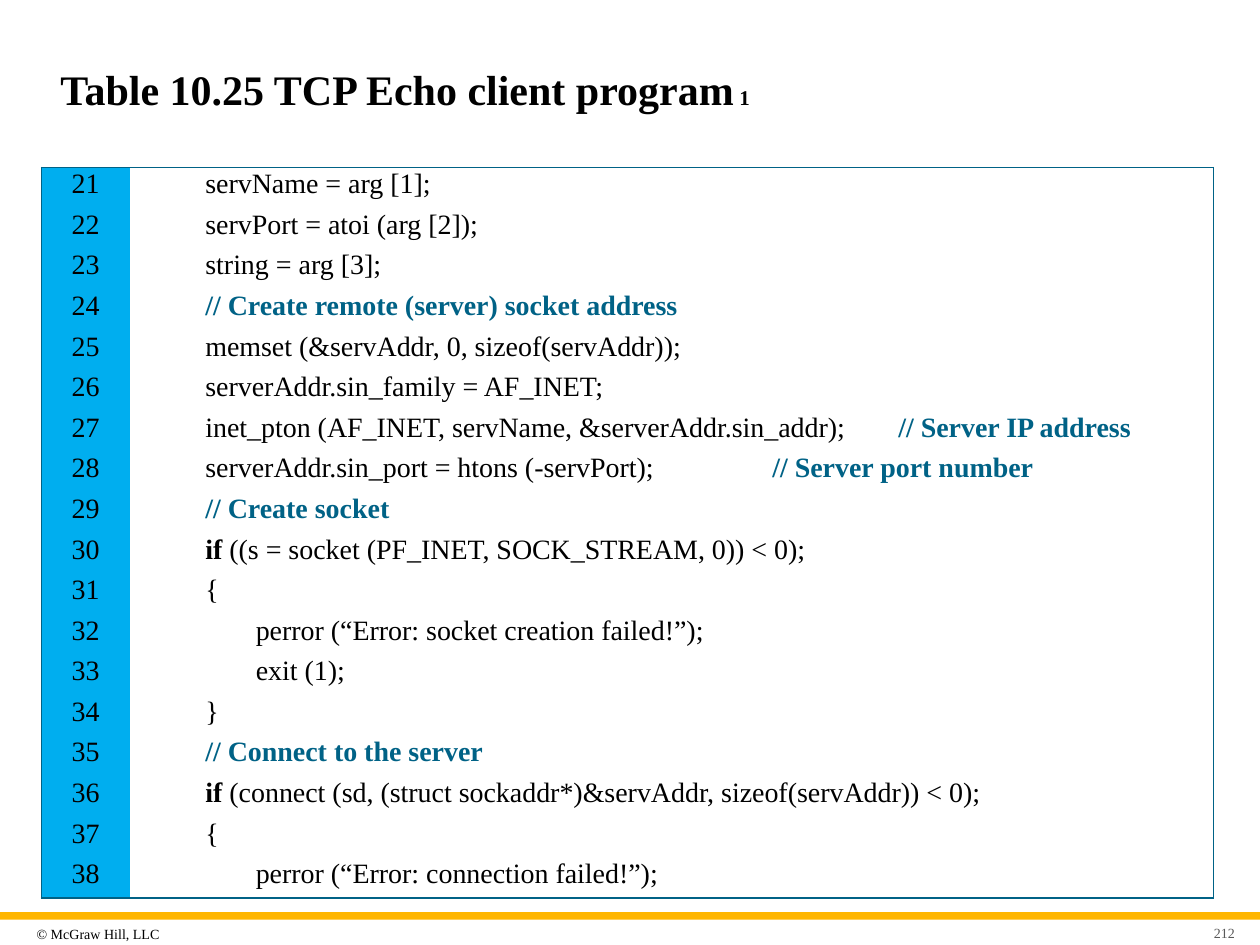
from dataclasses import dataclass

import pptx
import pptx.dml.color
import pptx.enum.shapes
import pptx.enum.text
import pptx.oxml
import pptx.oxml.ns
import pptx.util

Inches = pptx.util.Inches
Pt = pptx.util.Pt
Align = pptx.enum.text.PP_ALIGN
Anchor = pptx.enum.text.MSO_ANCHOR


@dataclass(frozen=True)
class Theme:
    face: str = "Times New Roman"
    ink: str = "000000"
    teal: str = "006286"
    blue: str = "00AEEF"
    gold: str = "FFB600"
    gray: str = "595959"
    head: int = 24
    small: int = 12
    code: int = 16
    foot: int = 8


@dataclass(frozen=True)
class Line:
    code: str = ""
    note: str = ""
    key: str = ""
    left: float = 0.5


@dataclass(frozen=True)
class Label:
    text: str
    box: tuple[float, float, float, float]
    color: str
    align: Align
    inset: float


THEME = Theme()
DEEP = 0.9
FIRST = 21
PLAIN = "{2D5ABB26-0587-4C30-8999-92F81FD0307C}"
LINES = [
    Line("servName = arg [1];"),
    Line("servPort = atoi (arg [2]);"),
    Line("string = arg [3];"),
    Line(note="// Create remote (server) socket address"),
    Line("memset (&servAddr, 0, sizeof(servAddr));"),
    Line("serverAddr.sin_family = AF_INET;"),
    Line("inet_pton (AF_INET, servName, &serverAddr.sin_addr);\t",
         "// Server IP address"),
    Line("serverAddr.sin_port = htons (-servPort);\t\t",
         "// Server port number"),
    Line(note="// Create socket"),
    Line(" ((s = socket (PF_INET, SOCK_STREAM, 0)) < 0);", key="if"),
    Line("{"),
    Line("perror (“Error: socket creation failed!”);", left=DEEP),
    Line("exit (1);", left=DEEP),
    Line("}"),
    Line(note="// Connect to the server"),
    Line(" (connect (sd, (struct sockaddr*)&servAddr, sizeof(servAddr)) < 0);",
         key="if"),
    Line("{"),
    Line("perror (“Error: connection failed!”);", left=DEEP),
]
LABELS = [
    Label("© McGraw Hill, LLC", (0.24, 7.29, 1.35, 0.24), THEME.ink,
          Align.LEFT, 0.05),
    Label("212", (9.46, 7.31, 0.39, 0.18), THEME.gray, Align.RIGHT, 0.1),
]


def rgb(code: str):
    return pptx.dml.color.RGBColor.from_string(code)


def apply(target, values: dict) -> None:
    for name, value in values.items():
        setattr(target, name, value)


def add_run(para, text: str, size: int, color: str = THEME.ink,
            bold: bool = False) -> None:
    run = para.add_run()
    run.text = text
    apply(run.font, {"name": THEME.face, "size": Pt(size), "bold": bold})
    run.font.color.rgb = rgb(color)


def add_edge(cell, sides: str) -> None:
    """Rule the given sides of a cell, in the schema order L, R, T, B."""
    for side in sides:
        cell._tc.get_or_add_tcPr().append(pptx.oxml.parse_xml(
            f'<a:ln{side} {pptx.oxml.ns.nsdecls("a")} w="{Pt(1)}"><a:solidFill>'
            f'<a:srgbClr val="{THEME.teal}"/></a:solidFill></a:ln{side}>'))


def add_title(slide) -> None:
    title = slide.shapes.title
    apply(title, {"left": Inches(0.38), "top": Inches(0.33),
                  "width": Inches(9.25), "height": Inches(0.74)})
    title.text_frame.vertical_anchor = Anchor.MIDDLE
    para = title.text_frame.paragraphs[0]
    para.alignment = Align.LEFT
    add_run(para, "Table 10.25 TCP Echo client program", THEME.head, bold=True)
    add_run(para, " 1", THEME.small, bold=True)


def add_code(slide) -> None:
    count = len(LINES)
    frame = slide.shapes.add_table(count, 2, Inches(0.33), Inches(1.33),
                                   Inches(9.3), Inches(5.8))
    table = frame.table
    apply(table, {"first_row": False, "horz_banding": False})
    table._tbl.tblPr.find(pptx.oxml.ns.qn("a:tableStyleId")).text = PLAIN
    for col, width in zip(table.columns, (0.7, 8.6)):
        col.width = Inches(width)
    for row, line in enumerate(LINES):
        ends = "T" * (row == 0) + "B" * (row == count - 1)
        num, body = table.cell(row, 0), table.cell(row, 1)
        for cell, side in ((num, "L"), (body, "R")):
            apply(cell, {"margin_top": Inches(0.01),
                         "margin_bottom": Inches(0.01)})
            add_edge(cell, side + ends)
        num.fill.solid()
        num.fill.fore_color.rgb = rgb(THEME.blue)
        body.fill.background()

        para = num.text_frame.paragraphs[0]
        para.alignment = Align.CENTER
        add_run(para, str(FIRST + row), THEME.code)
        para = body.text_frame.paragraphs[0]
        para._p.get_or_add_pPr().set("marL", str(Inches(line.left)))
        for text, color, bold in ((line.key, THEME.ink, True),
                                  (line.code, THEME.ink, False),
                                  (line.note, THEME.teal, True)):
            if text:
                add_run(para, text, THEME.code, color, bold)


def add_bar(slide) -> None:
    bar = slide.shapes.add_shape(
        pptx.enum.shapes.MSO_SHAPE.RECTANGLE,
        Inches(0), Inches(7.24), Inches(10), Inches(0.06))
    bar.shadow.inherit = False
    bar.fill.solid()
    bar.fill.fore_color.rgb = rgb(THEME.gold)
    bar.line.fill.background()


def add_label(slide, label: Label) -> None:
    frame = slide.shapes.add_textbox(*map(Inches, label.box)).text_frame
    pad = Inches(0.05)
    apply(frame, {"word_wrap": True, "vertical_anchor": Anchor.MIDDLE,
                  "margin_left": Inches(label.inset), "margin_right": pad,
                  "margin_top": pad, "margin_bottom": pad})
    para = frame.paragraphs[0]
    para.alignment = label.align
    add_run(para, label.text, THEME.foot, label.color)


def main() -> None:
    deck = pptx.Presentation()
    apply(deck, {"slide_width": Inches(10), "slide_height": Inches(7.5)})
    slide = deck.slides.add_slide(deck.slide_layouts.get_by_name("Title Only"))
    add_bar(slide)
    add_title(slide)
    add_code(slide)
    for label in LABELS:
        add_label(slide, label)
    deck.save("out.pptx")


if __name__ == "__main__":
    main()
